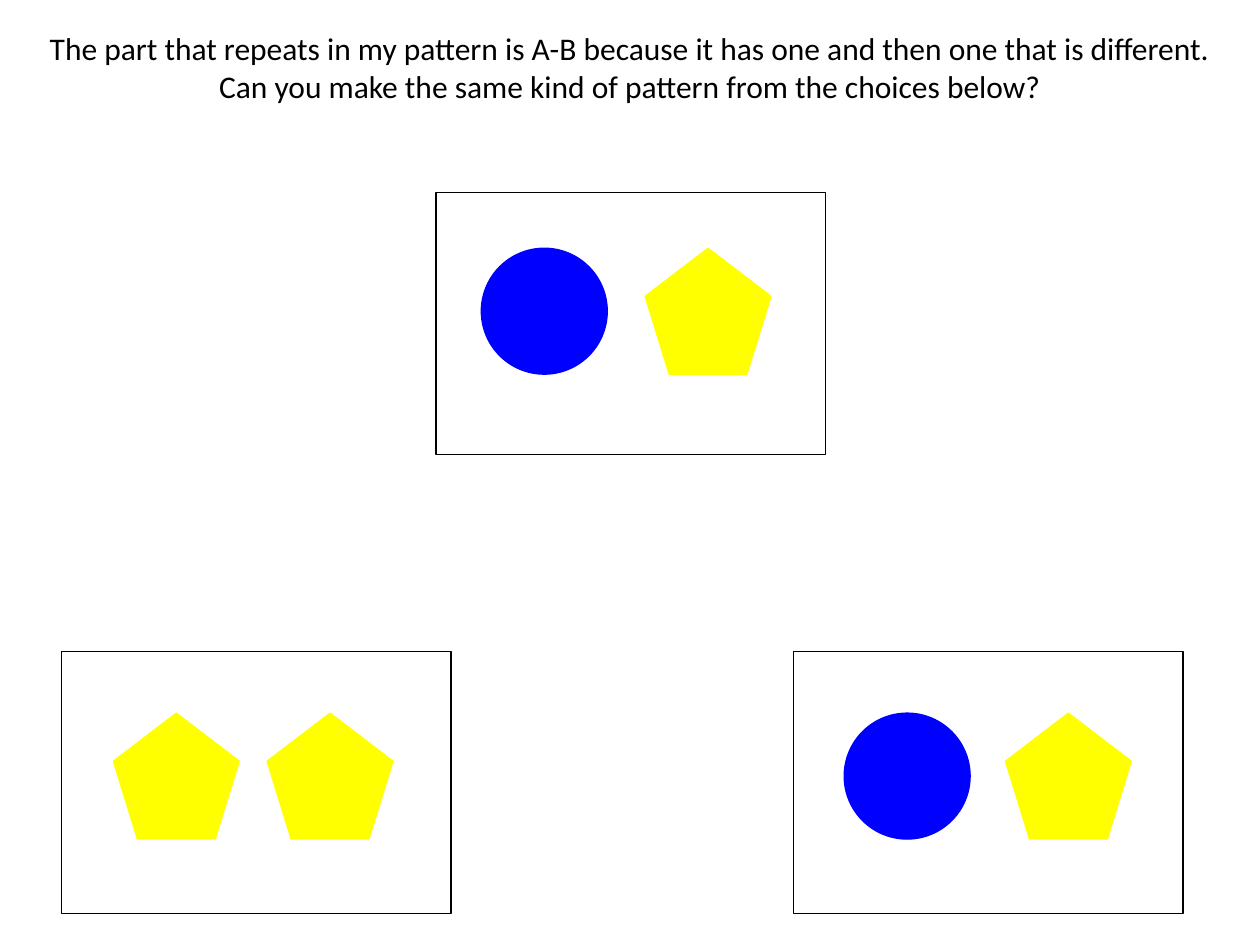
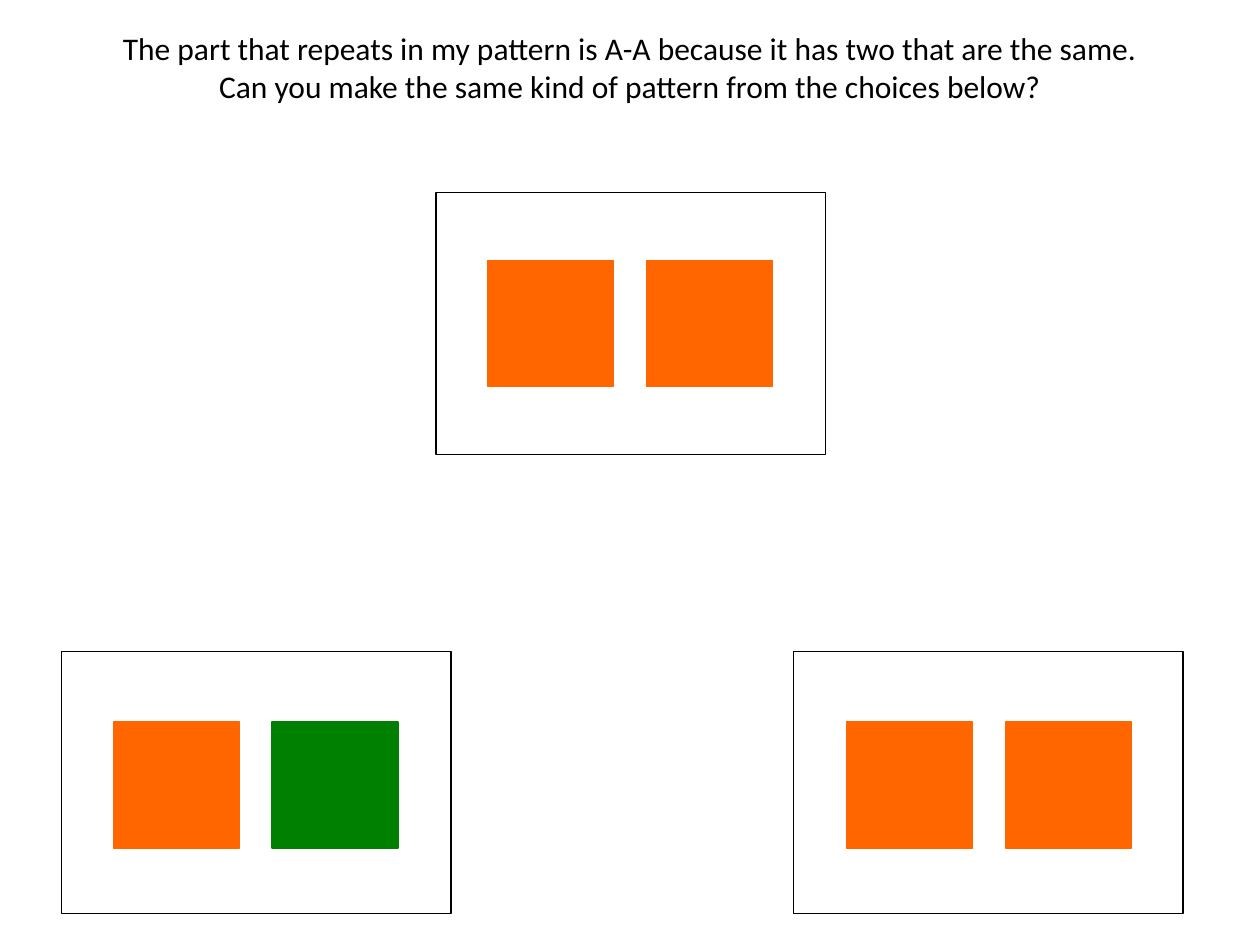
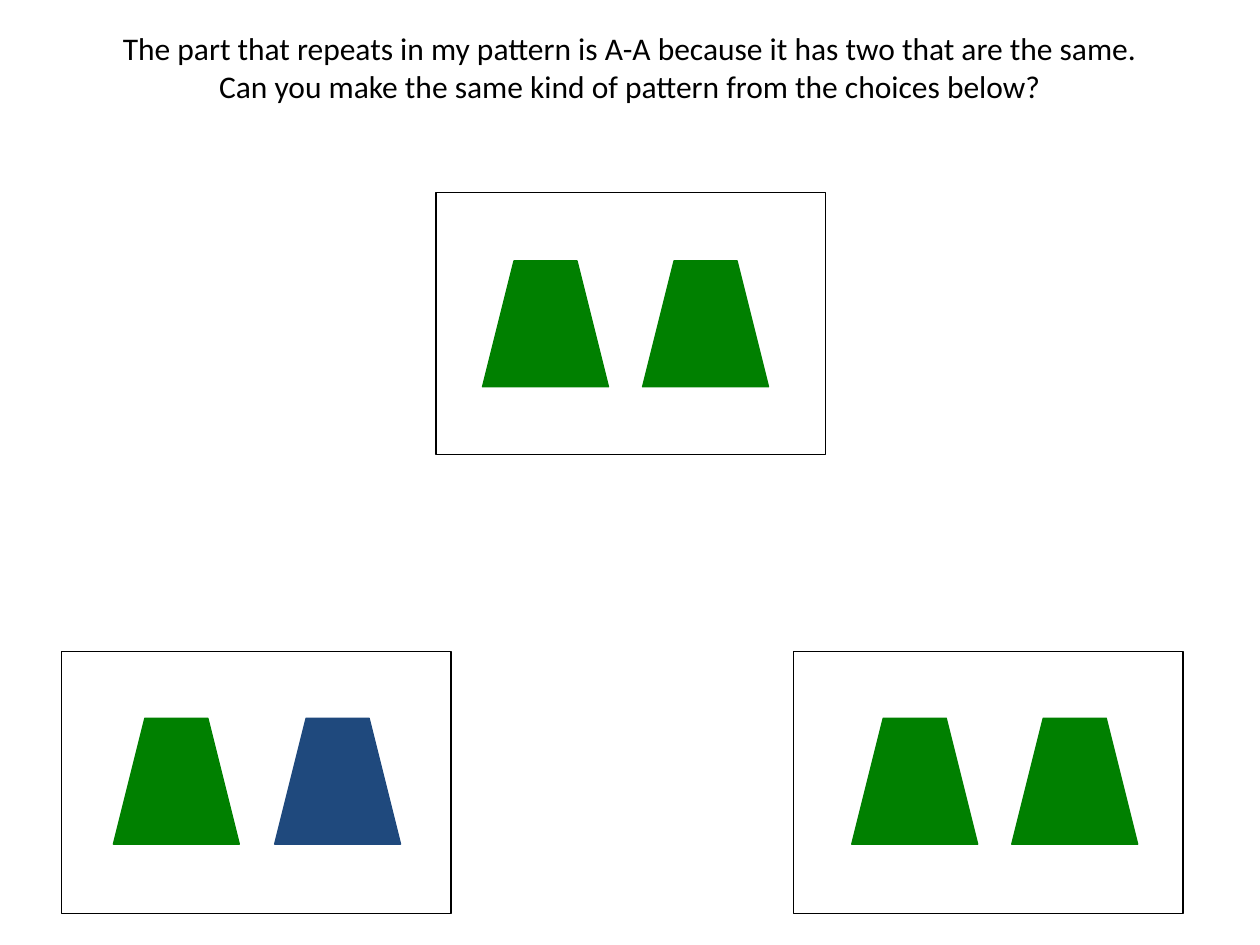
import pptx
import pptx.util
import pptx.dml.color
import pptx.enum.shapes
import pptx.enum.text

Inches = pptx.util.Inches
Pt = pptx.util.Pt
FORMS = pptx.enum.shapes.MSO_SHAPE

INK = {
    "black": "000000",
    "blue": "0000FF",
    "yellow": "FFFF00",
    "orange": "FF6600",
    "green": "008000",
    "navy": "1F497D",
}
FONT = "Calibri"
SIDE = 1
CARDS = [(3.46, 1.53, 3.09, 2.08), (0.49, 5.17, 3.09, 2.08), (6.3, 5.17, 3.09, 2.08)]
TITLE = (0, 0.18, 10, 0.71)
ASK = "Can you make the same kind of pattern from the choices below?"
SAME = "The part that repeats in my pattern is A-A because it has two that are the same."
MIXED = "The part that repeats in my pattern is A-B because it has one and then one that is different."

DISC = (FORMS.OVAL, "blue")
PENTA = (FORMS.REGULAR_PENTAGON, "yellow")
SQUARE = (FORMS.RECTANGLE, "orange")
LEAF = (FORMS.RECTANGLE, "green")
TRAP = (FORMS.TRAPEZOID, "green")
DUSK = (FORMS.TRAPEZOID, "navy")

# Each card: first tile's offset, top offset, pitch, tiles
PAGES = [
    (MIXED, [
        (0.36, 0.44, 1.3, (DISC, PENTA)),
        (0.41, 0.49, 1.22, (PENTA, PENTA)),
        (0.4, 0.49, 1.28, (DISC, PENTA)),
    ]),
    (SAME, [
        (0.41, 0.54, 1.26, (SQUARE, SQUARE)),
        (0.41, 0.56, 1.26, (SQUARE, LEAF)),
        (0.42, 0.56, 1.26, (SQUARE, SQUARE)),
    ]),
    (SAME, [
        (0.37, 0.54, 1.27, (TRAP, TRAP)),
        (0.41, 0.53, 1.28, (TRAP, DUSK)),
        (0.46, 0.53, 1.27, (TRAP, TRAP)),
    ]),
]


def color(name):
    """Return the named colour."""
    return pptx.dml.color.RGBColor.from_string(INK[name])


def draw(slide, form, box, line, fill=None):
    """Add one outlined shape, filled or hollow."""
    shape = slide.shapes.add_shape(form, *map(Inches, box))
    shape.shadow.inherit = False
    if fill:
        shape.fill.solid()
        shape.fill.fore_color.rgb = color(fill)
    else:
        shape.fill.background()
    shape.line.color.rgb = color(line)
    shape.line.width = Pt(0.75)


def title(slide, box, lines):
    """Add the centred prompt, one paragraph per line."""
    frame = slide.shapes.add_textbox(*map(Inches, box)).text_frame
    frame.word_wrap = True
    frame.auto_size = pptx.enum.text.MSO_AUTO_SIZE.SHAPE_TO_FIT_TEXT
    for index, line in enumerate(lines):
        para = frame.add_paragraph() if index else frame.paragraphs[0]
        para.alignment = pptx.enum.text.PP_ALIGN.CENTER
        run = para.add_run()
        run.text = line
        run.font.name = FONT
        run.font.size = Pt(18)
        run.font.color.rgb = color("black")


def card(slide, box, inset, drop, pitch, tiles):
    """Add a framed card with a row of evenly pitched tiles."""
    draw(slide, FORMS.RECTANGLE, box, "black")
    left, top = box[:2]
    for index, (form, tint) in enumerate(tiles):
        spot = (left + inset + index * pitch, top + drop, SIDE, SIDE)
        draw(slide, form, spot, tint, tint)


def page(deck, claim, cards):
    """Add one slide with its prompt, pattern and two choices."""
    slide = deck.slides.add_slide(deck.slide_layouts[6])
    title(slide, TITLE, (claim, ASK))
    for box, parts in zip(CARDS, cards):
        card(slide, box, *parts)


def main():
    """Build and save the deck."""
    deck = pptx.Presentation()
    deck.slide_width = Inches(10)
    deck.slide_height = Inches(7.5)
    for claim, cards in PAGES:
        page(deck, claim, cards)
    deck.save("out.pptx")


main()
